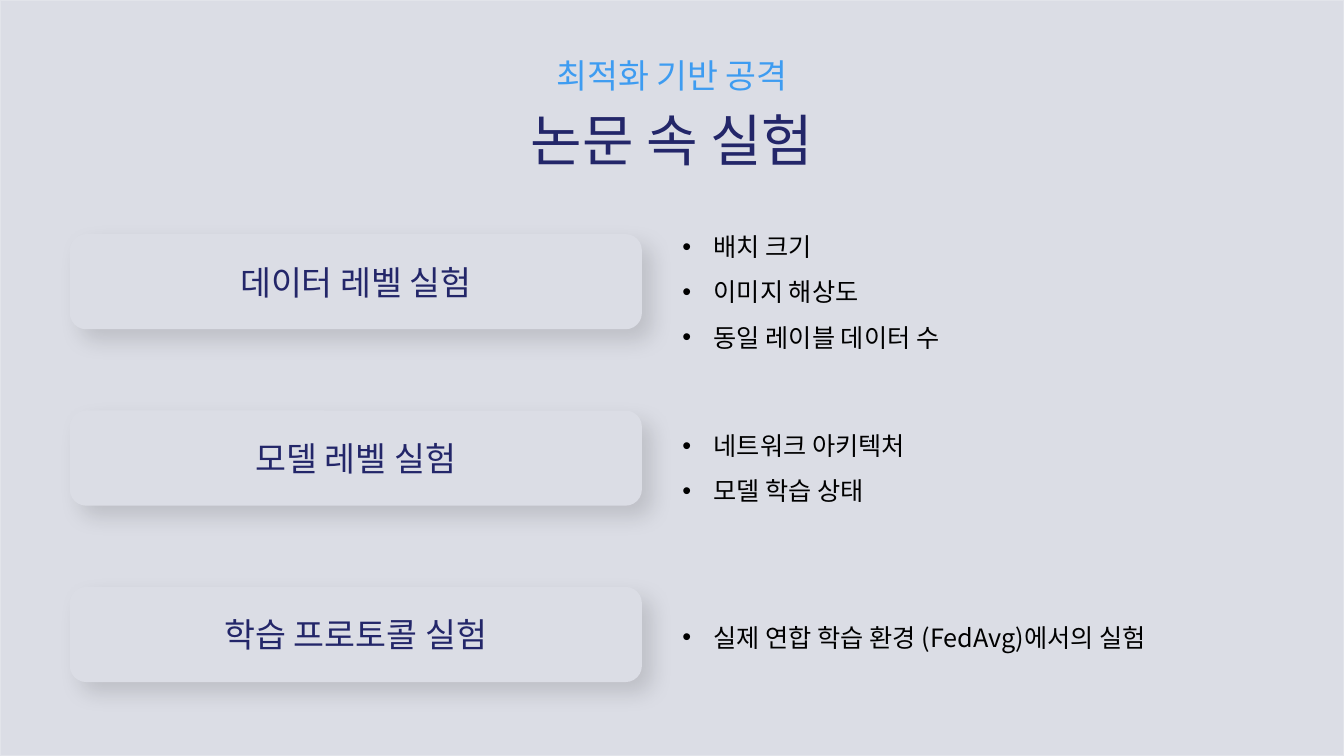
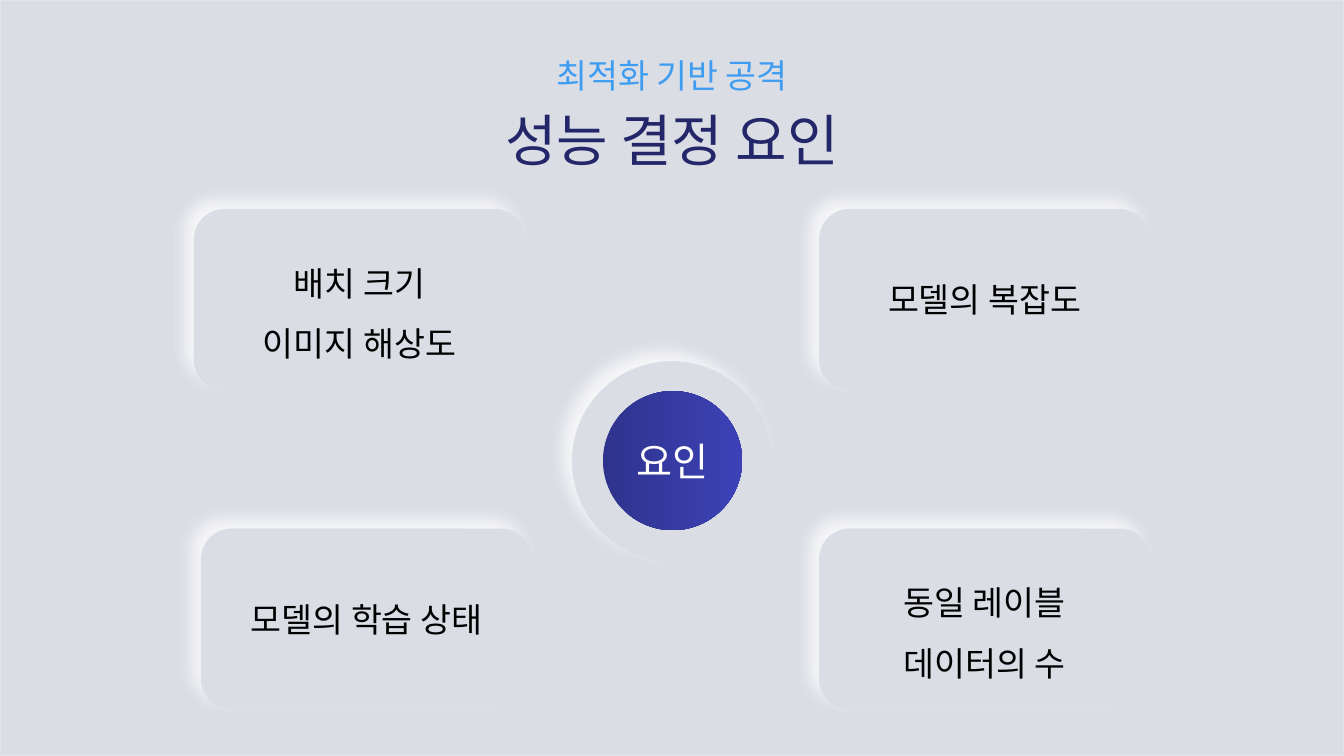
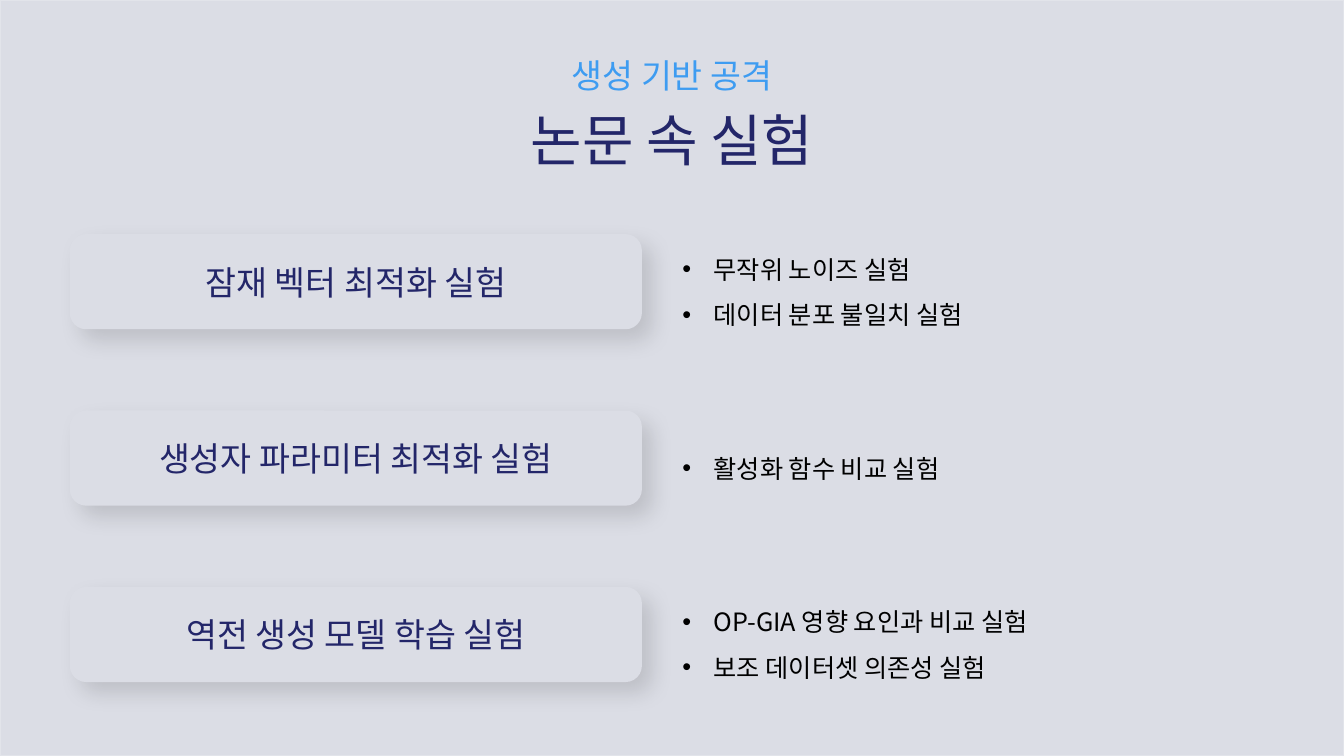
from lxml import etree
from pptx import Presentation
from pptx.dml.color import RGBColor
from pptx.enum.shapes import MSO_SHAPE
from pptx.enum.text import MSO_ANCHOR, PP_ALIGN
from pptx.oxml.ns import qn
from pptx.util import Inches, Pt

COLORS = {
    "base": "DBDDE5",
    "edge": "E2E4EA",
    "navy": "232669",
    "sky": "3E9CF1",
    "black": "000000",
    "white": "FFFFFF",
    "core_dark": "2F338D",
    "core_light": "3C42B6",
}
FONT = "Noto Sans CJK KR"
WIDTH, HEIGHT = 13.33, 7.5

# colour, opacity %, blur pt, distance pt, direction in degrees
DROP = ("black", 12, 15, 10, 45)
GLOW = ("white", 78, 12, 10, 225)


def rgb(name):
    return RGBColor.from_string(COLORS[name])


class Deck:
    def __init__(self):
        self.prs = Presentation()
        self.prs.slide_width = Inches(WIDTH)
        self.prs.slide_height = Inches(HEIGHT)
        self.s = None

    def new_slide(self, topic, title):
        self.s = self.prs.slides.add_slide(self.prs.slide_layouts[6])
        self.shape(MSO_SHAPE.RECTANGLE, 0, 0, WIDTH, HEIGHT, line="edge")
        self.text([title], 0, 1, WIDTH, 0.77, 40, "navy")
        self.text([topic], 0, 0.5, WIDTH, 0.5, 24, "sky")

    def shape(self, kind, x, y, w, h, line="base", shadow=None):
        sp = self.s.shapes.add_shape(kind, Inches(x), Inches(y), Inches(w), Inches(h))
        sp.fill.solid()
        sp.fill.fore_color.rgb = rgb("base")
        sp.line.color.rgb = rgb(line)
        sp.line.width = Pt(1)
        sp.shadow.inherit = False
        if shadow:
            self.cast(sp, *shadow)
        return sp

    def cast(self, sp, color, opacity, blur, dist, angle):
        """Give a shape an outer shadow."""
        effects = sp._element.spPr.find(qn("a:effectLst"))
        outer = etree.SubElement(
            effects, qn("a:outerShdw"), blurRad=str(Pt(blur)), dist=str(Pt(dist)),
            dir=str(angle * 60000), algn="ctr", rotWithShape="0")
        clr = etree.SubElement(outer, qn("a:srgbClr"), val=COLORS[color])
        etree.SubElement(clr, qn("a:alpha"), val=str(opacity * 1000))

    def fill_text(self, tf, lines, size, color, align=PP_ALIGN.CENTER, spacing=1.0, bullet=False):
        tf.word_wrap = True
        for i, line in enumerate(lines):
            p = tf.add_paragraph() if i else tf.paragraphs[0]
            p.text = line
            p.alignment = align
            p.line_spacing = spacing
            if bullet:
                pPr = p._p.get_or_add_pPr()
                pPr.set("marL", str(Inches(0.31)))
                pPr.set("indent", str(-Inches(0.31)))
                etree.SubElement(pPr, qn("a:buFont"), typeface="Arial")
                etree.SubElement(pPr, qn("a:buChar"), char="•")
            for r in p.runs:
                r.font.size = Pt(size)
                r.font.color.rgb = rgb(color)
                r.font.name = FONT
                etree.SubElement(r._r.get_or_add_rPr(), qn("a:ea"), typeface=FONT)

    def text(self, lines, x, y, w, h, size, color, **style):
        box = self.s.shapes.add_textbox(Inches(x), Inches(y), Inches(w), Inches(h))
        self.fill_text(box.text_frame, lines, size, color, **style)

    def label(self, sp, line, size, color):
        sp.text_frame.vertical_anchor = MSO_ANCHOR.MIDDLE
        self.fill_text(sp.text_frame, [line], size, color)

    def experiment(self, row, name, items, spacing=1.5):
        """Raised button on the left, bullets centred on it to the right."""
        y, h = 2.33 + 1.75 * row, 0.93
        sp = self.shape(MSO_SHAPE.ROUNDED_RECTANGLE, 0.7, y, 5.66, h, shadow=DROP)
        self.label(sp, name, 24, "navy")
        text_h = 0.05 + 0.3 * spacing * len(items)
        self.text(items, 6.67, y + (h - text_h) / 2, 5.64, text_h, 18, "black",
                  align=PP_ALIGN.LEFT, spacing=spacing, bullet=True)

    def factor(self, x, y, lines):
        w, h = 3.27, 1.78
        self.shape(MSO_SHAPE.ROUNDED_RECTANGLE, x, y, w, h, shadow=GLOW)
        text_h, spacing = (0.5, 1.0) if len(lines) == 1 else (1.23, 1.5)
        self.text(lines, x, y + (h - text_h) / 2, w, text_h, 24, "black", spacing=spacing)

    def hub(self, line):
        self.shape(MSO_SHAPE.OVAL, 5.68, 3.59, 1.97, 1.97, shadow=GLOW)
        core = self.shape(MSO_SHAPE.OVAL, 5.98, 3.88, 1.38, 1.38)
        core.line.fill.background()
        core.fill.gradient()
        core.fill.gradient_angle = 0
        for stop, color in zip(core.fill.gradient_stops, ("core_dark", "core_light")):
            stop.color.rgb = rgb(color)
        self.label(core, line, 28, "white")


def main():
    deck = Deck()

    deck.new_slide("최적화 기반 공격", "논문 속 실험")
    deck.experiment(0, "데이터 레벨 실험", ["배치 크기", "이미지 해상도", "동일 레이블 데이터 수"])
    deck.experiment(1, "모델 레벨 실험", ["네트워크 아키텍처", "모델 학습 상태"])
    deck.experiment(2, "학습 프로토콜 실험", ["실제 연합 학습 환경 (FedAvg)에서의 실험"], spacing=1.0)

    deck.new_slide("최적화 기반 공격", "성능 결정 요인")
    deck.hub("요인")
    deck.factor(1.93, 2.08, ["배치 크기", "이미지 해상도"])
    deck.factor(8.13, 2.08, ["모델의 복잡도"])
    deck.factor(2, 5.25, ["모델의 학습 상태"])
    deck.factor(8.13, 5.25, ["동일 레이블", "데이터의 수"])

    deck.new_slide("생성 기반 공격", "논문 속 실험")
    deck.experiment(0, "잠재 벡터 최적화 실험", ["무작위 노이즈 실험", "데이터 분포 불일치 실험"])
    deck.experiment(1, "생성자 파라미터 최적화 실험", ["활성화 함수 비교 실험"])
    deck.experiment(2, "역전 생성 모델 학습 실험", ["OP-GIA 영향 요인과 비교 실험", "보조 데이터셋 의존성 실험"])

    deck.prs.save("out.pptx")


if __name__ == "__main__":
    main()
